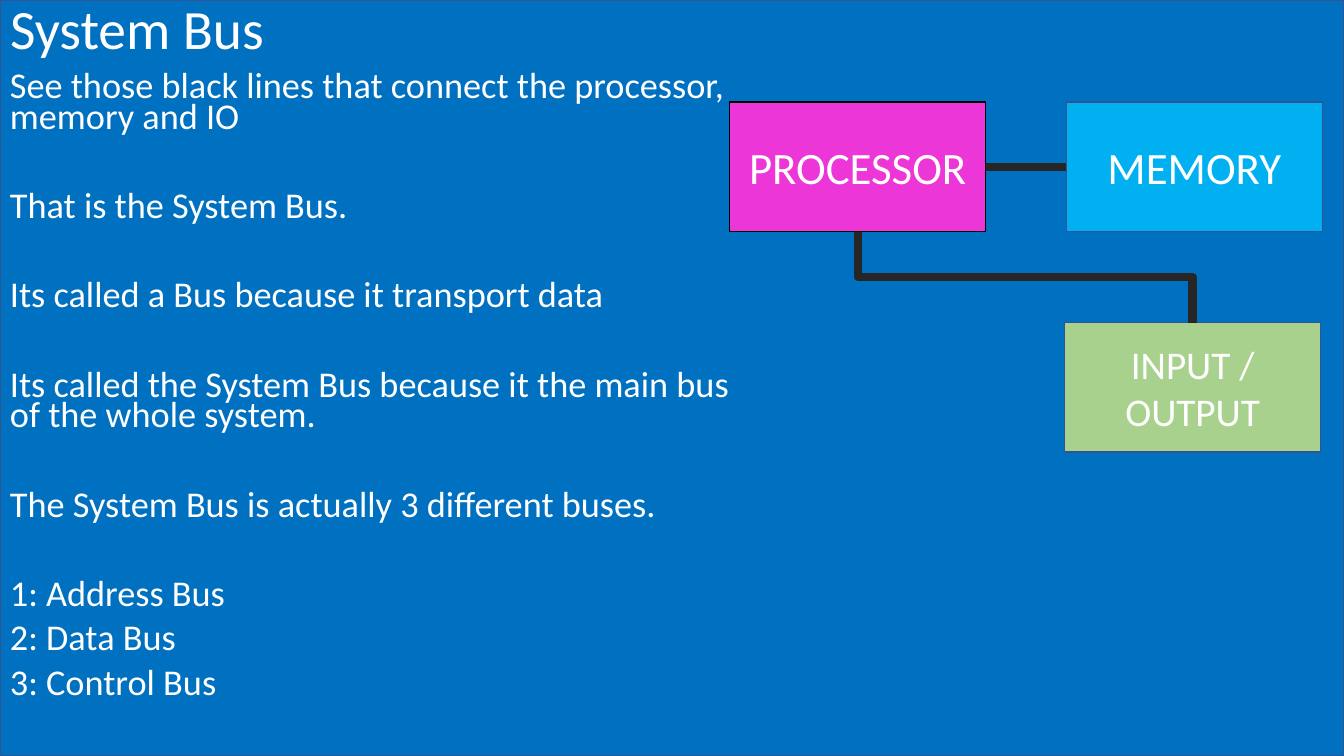
from dataclasses import dataclass

from lxml.etree import SubElement
from pptx import Presentation
from pptx.dml.color import RGBColor
from pptx.enum.shapes import MSO_CONNECTOR, MSO_SHAPE
from pptx.enum.text import MSO_ANCHOR, PP_ALIGN
from pptx.oxml.ns import qn
from pptx.util import Inches, Pt


@dataclass(frozen=True)
class Theme:
    font: str = "Calibri"
    text: str = "FFFFFF"
    back: str = "0070C0"
    edge: str = "325491"
    bus: str = "262626"
    black: str = "000000"
    pink: str = "ED36D7"
    cyan: str = "00B0F0"
    green: str = "A9D18E"
    title: float = 39.6
    body: float = 25.9
    label: float = 32
    small: float = 28
    near: float = 10
    far: float = 42


THEME = Theme()
WIDTH, HEIGHT = Inches(13.33), Inches(7.5)

# Each paragraph comes with the space before it.
NOTES = [
    ("See those black lines that connect the processor, memory and IO", 0),
    ("That is the System Bus.", THEME.far),
    ("Its called a Bus because it transport data", THEME.far),
    ("Its called the System Bus because it the main bus of the whole system.", THEME.far),
    ("The System Bus is actually 3 different buses.", THEME.far),
    ("1: Address Bus", THEME.far),
    ("2: Data Bus", THEME.near),
    ("3: Control Bus", THEME.near),
]


def color(code):
    return RGBColor.from_string(code)


def share(box, left, top, width, height):
    """Return the part of a box given by shares of its width and height."""
    x, y, w, h = box
    return int(x + left * w), int(y + top * h), int(width * w), int(height * h)


def write(para, text, size, align=PP_ALIGN.LEFT):
    para.alignment = align
    run = para.add_run()
    run.text = text
    run.font.name = THEME.font
    run.font.size = Pt(size)
    run.font.color.rgb = color(THEME.text)


def add_block(slide, box, fill, edge):
    block = slide.shapes.add_shape(MSO_SHAPE.RECTANGLE, *box)
    block.shadow.inherit = False
    block.fill.solid()
    block.fill.fore_color.rgb = color(fill)
    block.line.color.rgb = color(edge)
    block.line.width = Pt(1)
    return block


def add_part(slide, box, text, size, fill, edge=THEME.edge):
    part = add_block(slide, box, fill, edge)
    part.text_frame.word_wrap = True
    part.text_frame.vertical_anchor = MSO_ANCHOR.MIDDLE
    write(part.text_frame.paragraphs[0], text, size, PP_ALIGN.CENTER)
    return part


def add_bus(slide, kind, start, start_side, end, end_side):
    bus = slide.shapes.add_connector(kind, 0, 0, 0, 0)
    bus.begin_connect(start, start_side)
    bus.end_connect(end, end_side)
    bus.line.color.rgb = color(THEME.bus)
    bus.line.width = Pt(6)
    SubElement(bus.element.spPr, qn("a:effectLst"))
    return bus


def turn_down(bus):
    """Make an elbow leave its start downwards instead of sideways."""
    left, top, width, height = bus.left, bus.top, bus.width, bus.height
    bus.left = left + (width - height) // 2
    bus.top = top + (height - width) // 2
    bus.width, bus.height = height, width
    frame = bus.element.spPr.find(qn("a:xfrm"))
    frame.set("rot", "16200000")
    frame.set("flipH", "1")


def add_title(slide, box):
    title = slide.shapes.title
    title.left, title.top, title.width, title.height = box
    title.text_frame.vertical_anchor = MSO_ANCHOR.MIDDLE
    para = title.text_frame.paragraphs[0]
    para.line_spacing = 0.9
    write(para, "System Bus", THEME.title)


def add_notes(slide, box):
    frame = slide.shapes.add_textbox(*box).text_frame
    frame.word_wrap = True
    for index, (text, gap) in enumerate(NOTES):
        para = frame.add_paragraph() if index else frame.paragraphs[0]
        para.line_spacing = 0.7
        para.space_before = Pt(gap)
        write(para, text, THEME.body)


def add_diagram(slide, box):
    wide, high = 0.432, 0.37
    cpu = add_part(slide, share(box, 0, 0, wide, high),
                   "PROCESSOR", THEME.label, THEME.pink, THEME.black)
    memory = add_part(slide, share(box, 1 - wide, 0, wide, high),
                      "MEMORY", THEME.label, THEME.cyan)
    ports = add_part(slide, share(box, 0.565, 1 - high, wide, high),
                     "INPUT / OUTPUT", THEME.small, THEME.green)
    turn_down(add_bus(slide, MSO_CONNECTOR.ELBOW, cpu, 2, ports, 0))
    add_bus(slide, MSO_CONNECTOR.STRAIGHT, cpu, 3, memory, 1)


def main():
    deck = Presentation()
    deck.slide_width, deck.slide_height = WIDTH, HEIGHT
    slide = deck.slides.add_slide(deck.slide_layouts[5])
    page = (0, 0, WIDTH, HEIGHT)
    back = add_block(slide, page, THEME.back, THEME.edge)
    slide.shapes.title.element.addprevious(back.element)
    add_title(slide, share(page, 0, 0, 1, 0.084))
    add_notes(slide, share(page, 0, 0.092, 0.557, 0.908))
    add_diagram(slide, share(page, 0.543, 0.135, 0.441, 0.463))
    deck.save("out.pptx")


if __name__ == "__main__":
    main()
